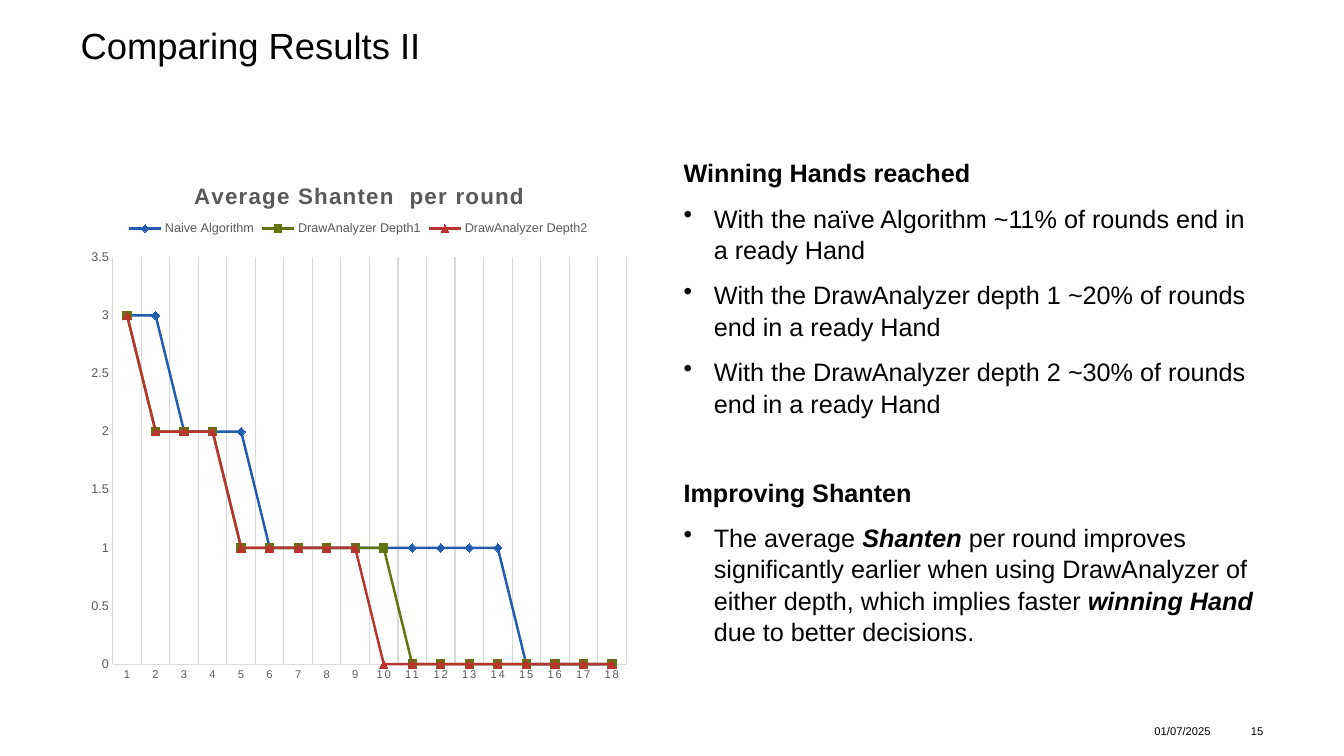
from dataclasses import dataclass

from lxml.etree import SubElement
from pptx import Presentation
from pptx.chart.data import CategoryChartData
from pptx.dml.color import RGBColor
from pptx.enum.chart import XL_CHART_TYPE, XL_LEGEND_POSITION, XL_MARKER_STYLE, XL_TICK_MARK
from pptx.enum.text import MSO_ANCHOR, PP_ALIGN
from pptx.oxml.ns import qn
from pptx.util import Inches, Pt


@dataclass(frozen=True)
class Theme:
    """Colours, font and type sizes of the slide."""
    font: str = "Arial"
    text: str = "000000"
    chart_text: str = "595959"
    rule: str = "D9D9D9"
    title_size: int = 26
    body_size: int = 18
    chart_title_size: int = 16
    label_size: int = 9
    round_size: int = 8
    footer_size: int = 8


THEME = Theme()
ROUNDS = 18
SERIES = [
    ("Naive Algorithm", [3] * 2 + [2] * 3 + [1] * 9 + [0] * 4, "215CAF", XL_MARKER_STYLE.DIAMOND),
    ("DrawAnalyzer Depth1", [3] + [2] * 3 + [1] * 6 + [0] * 8, "627313", XL_MARKER_STYLE.SQUARE),
    ("DrawAnalyzer Depth2", [3] + [2] * 3 + [1] * 5 + [0] * 9, "B7352D", XL_MARKER_STYLE.TRIANGLE),
]
FINDINGS = [
    "With the naïve Algorithm ~11% of rounds end in a ready Hand",
    "With the DrawAnalyzer depth 1 ~20% of rounds end in a ready Hand",
    "With the DrawAnalyzer depth 2 ~30% of rounds end in a ready Hand",
]
IMPROVEMENT = [
    ("The average ", False),
    ("Shanten", True),
    (" per round improves significantly earlier when using DrawAnalyzer of "
     "either depth, which implies faster ", False),
    ("winning Hand ", True),
    ("due to better decisions.", False),
]


def style_font(font, size, color, bold=False, italic=False):
    """Apply the theme typeface with the given size, colour and weight."""
    font.name = THEME.font
    font.size = Pt(size)
    font.color.rgb = RGBColor.from_string(color)
    font.bold = bold
    font.italic = italic


def add_run(paragraph, text, size, bold=False, italic=False):
    """Add one styled run to a paragraph."""
    run = paragraph.add_run()
    run.text = text
    style_font(run.font, size, THEME.text, bold, italic)


def add_text_frame(slide, left, top, width, height, anchor=MSO_ANCHOR.TOP):
    """Add a wrapping text box without margins and return its frame."""
    box = slide.shapes.add_textbox(Inches(left), Inches(top), Inches(width), Inches(height))
    frame = box.text_frame
    frame.word_wrap = True
    frame.vertical_anchor = anchor
    frame.margin_left = frame.margin_right = frame.margin_top = frame.margin_bottom = 0
    return frame


def add_footer(slide, text, left, width, alignment=PP_ALIGN.LEFT):
    """Add a small footer field."""
    frame = add_text_frame(slide, left, 7.13, width, 0.24, MSO_ANCHOR.MIDDLE)
    paragraph = frame.paragraphs[0]
    paragraph.alignment = alignment
    add_run(paragraph, text, THEME.footer_size)


def add_heading(paragraph, text, space_before=0):
    """Write a bold heading into a paragraph."""
    paragraph.space_before = Pt(space_before)
    paragraph.line_spacing = 1.04
    add_run(paragraph, text, THEME.body_size, bold=True)


def add_bullet(frame, pieces):
    """Add a bulleted paragraph from (text, emphasised) pieces."""
    paragraph = frame.add_paragraph()
    paragraph.space_before = Pt(10)
    paragraph.line_spacing = 1.04
    properties = paragraph._p.get_or_add_pPr()
    properties.set("marL", str(Inches(0.3)))
    properties.set("indent", str(Inches(-0.3)))
    SubElement(properties, qn("a:buChar"), char="•")
    for text, emphasised in pieces:
        add_run(paragraph, text, THEME.body_size, emphasised, emphasised)


def add_findings(slide):
    """Add the text column with its two headed groups."""
    frame = add_text_frame(slide, 6.78, 1.55, 5.75, 5.31)
    add_heading(frame.paragraphs[0], "Winning Hands reached")
    for finding in FINDINGS:
        add_bullet(frame, [(finding, False)])
    add_heading(frame.add_paragraph(), "Improving Shanten", space_before=41)
    add_bullet(frame, IMPROVEMENT)


def place_chart_part(part, position, x, y, width=None, height=None, inner=False):
    """Place a chart part by fractions of the chart area."""
    for layout in part.findall(qn("c:layout")):
        part.remove(layout)
    layout = SubElement(part, qn("c:layout"))
    part.insert(position, layout)
    manual = SubElement(layout, qn("c:manualLayout"))
    if inner:
        SubElement(manual, qn("c:layoutTarget"), val="inner")
    for mode in ("xMode", "yMode"):
        SubElement(manual, qn(f"c:{mode}"), val="edge")
    for name, value in (("x", x), ("y", y), ("w", width), ("h", height)):
        if value is not None:
            SubElement(manual, qn(f"c:{name}"), val=str(value))


def style_line(line, color, width):
    """Set the colour and width of a line."""
    line.color.rgb = RGBColor.from_string(color)
    line.width = Pt(width)


def style_axis(axis, size):
    """Give an axis its labels and line, without tick marks."""
    axis.major_tick_mark = axis.minor_tick_mark = XL_TICK_MARK.NONE
    style_font(axis.tick_labels.font, size, THEME.chart_text)
    style_line(axis.format.line, THEME.rule, 0.75)


def style_series(series, color, marker):
    """Give a series its line and marker."""
    series.smooth = False
    style_line(series.format.line, color, 1.75)
    series.marker.style = marker
    series.marker.size = 6
    series.marker.format.fill.solid()
    series.marker.format.fill.fore_color.rgb = RGBColor.from_string(color)
    style_line(series.marker.format.line, color, 0.75)


def add_chart_title(chart, text):
    """Add the letter-spaced chart title."""
    chart.has_title = True
    run = chart.chart_title.text_frame.paragraphs[0].add_run()
    run.text = text
    style_font(run.font, THEME.chart_title_size, THEME.chart_text, bold=True)
    run._r.get_or_add_rPr().set("spc", "100")
    place_chart_part(chart.chart_title._element, 1, 0.197, 0.04)


def add_shanten_chart(slide):
    """Add the line chart of the average Shanten in each round."""
    data = CategoryChartData()
    data.categories = [str(number) for number in range(1, ROUNDS + 1)]
    for name, values, _, _ in SERIES:
        data.add_series(name, values)
    chart = slide.shapes.add_chart(
        XL_CHART_TYPE.LINE_MARKERS, Inches(0.8), Inches(1.55), Inches(5.51), Inches(5.31), data
    ).chart
    style_font(chart.font, 10, THEME.text)
    add_chart_title(chart, "Average Shanten  per round")
    chart.has_legend = True
    chart.legend.position = XL_LEGEND_POSITION.TOP
    chart.legend.include_in_layout = False
    style_font(chart.legend.font, THEME.label_size, THEME.chart_text)
    place_chart_part(chart.legend._element, 1, 0.08, 0.11, 0.84, 0.05)
    rounds, shanten = chart.category_axis, chart.value_axis
    style_axis(rounds, THEME.round_size)
    rounds.tick_labels.font._element.set("spc", "120")
    rounds.has_major_gridlines = True
    style_line(rounds.major_gridlines.format.line, THEME.rule, 0.75)
    style_axis(shanten, THEME.label_size)
    shanten.has_major_gridlines = False
    shanten.minimum_scale, shanten.maximum_scale, shanten.major_unit = 0, 3.5, 0.5
    shanten.tick_labels.number_format = "General"
    shanten.tick_labels.number_format_is_linked = False
    plot = chart.plots[0]
    plot.vary_by_categories = False
    for series, (_, _, color, marker) in zip(plot.series, SERIES):
        style_series(series, color, marker)
    place_chart_part(plot._element.getparent(), 0, 0.058, 0.189, 0.924, 0.76, inner=True)


def main():
    """Build and save the slide."""
    presentation = Presentation()
    presentation.slide_width, presentation.slide_height = Inches(13.33), Inches(7.5)
    slide = presentation.slides.add_slide(presentation.slide_layouts[6])
    title = add_text_frame(slide, 0.8, 0.28, 11.73, 0.98).paragraphs[0]
    title.line_spacing = 0.9
    add_run(title, "Comparing Results II", THEME.title_size)
    add_findings(slide)
    add_footer(slide, "01/07/2025", 11.45, 0.67)
    add_footer(slide, "15", 12.18, 0.35, PP_ALIGN.RIGHT)
    add_shanten_chart(slide)
    presentation.save("out.pptx")


if __name__ == "__main__":
    main()
